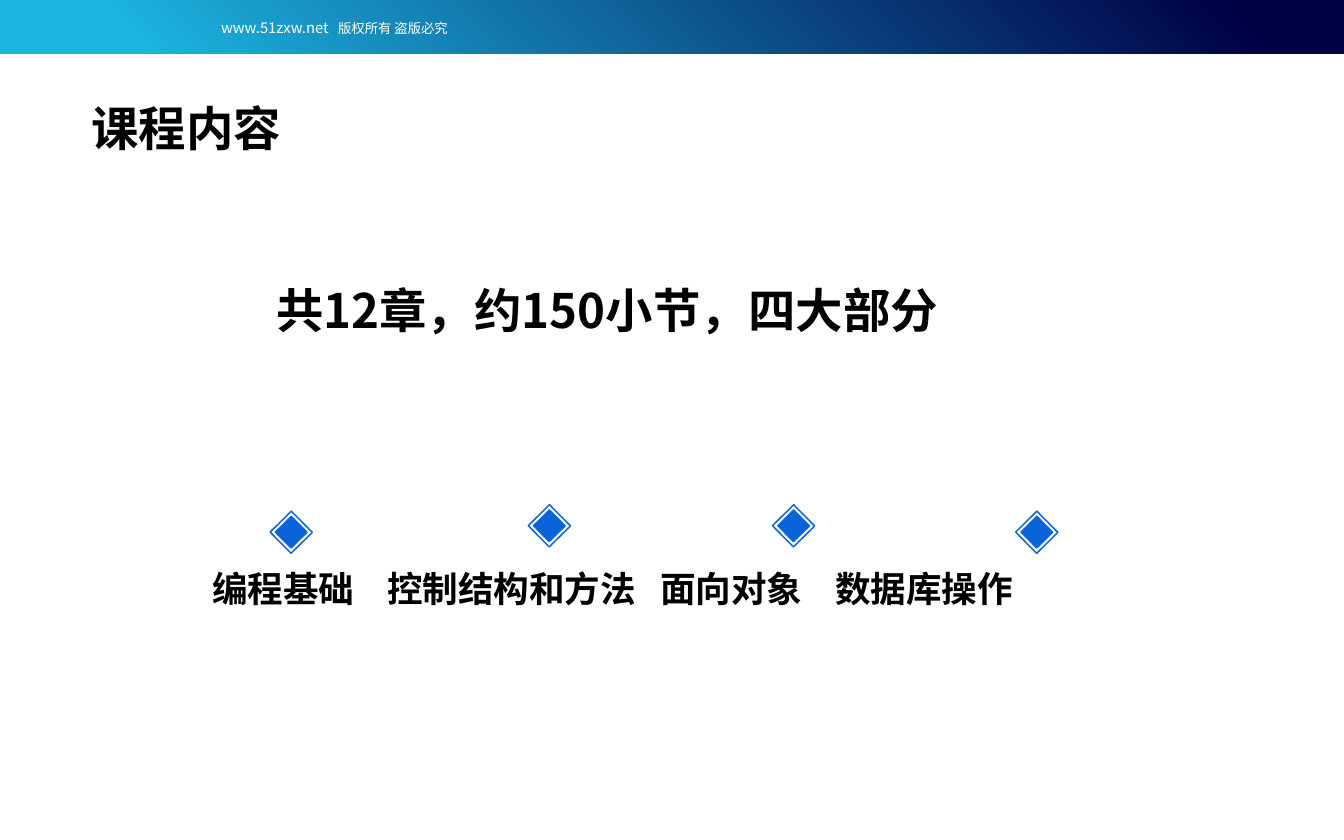
from dataclasses import dataclass

from lxml import etree
from pptx import Presentation
from pptx import util as u
from pptx.dml.color import RGBColor
from pptx.enum import shapes, text
from pptx.oxml.ns import qn

FONT = "Noto Sans CJK SC"
COLORS = {"navy": "000046", "cyan": "1CB5E0", "blue": "0B63DA",
          "white": "FFFFFF", "black": "000000"}
SLIDE_WIDTH = 12.6
SLIDE_HEIGHT = SLIDE_WIDTH * 10 / 16


@dataclass
class Marker:
    """Centre of a double diamond, in inches."""
    x: float
    y: float


@dataclass
class Box:
    left: float
    top: float
    width: float
    height: float
    wrap: bool = True


MARKERS = [Marker(2.73, 4.99), Marker(5.15, 4.93),
           Marker(7.44, 4.93), Marker(9.72, 4.99)]
PARTS = ["编程基础", "控制结构和方法", "面向对象", "数据库操作"]
PART_TABS = [1.64, 4.2, 5.84]


def rgb(name: str) -> RGBColor:
    return RGBColor.from_string(COLORS[name])


def add_text(slide, box: Box):
    tb = slide.shapes.add_textbox(*map(u.Inches, (box.left, box.top, box.width, box.height)))
    tb.text_frame.word_wrap = box.wrap
    return tb.text_frame


def format_run(r, size: float, color: str = "black", bold: bool = False) -> None:
    r.font.size = u.Pt(size)
    r.font.bold = bold
    r.font.color.rgb = rgb(color)
    r.font.name = FONT
    etree.SubElement(r._r.get_or_add_rPr(), qn("a:ea"), typeface=FONT)


def set_tabs(p, stops: list[float]) -> None:
    tabs = etree.SubElement(p._p.get_or_add_pPr(), qn("a:tabLst"))
    for stop in stops:
        etree.SubElement(tabs, qn("a:tab"), pos=str(u.Inches(stop)), algn="l")


def add_header(slide) -> None:
    bar = slide.shapes.add_shape(shapes.MSO_SHAPE.RECTANGLE, u.Inches(5.95),
                                 u.Inches(-6.19), u.Inches(0.7), u.Inches(12.69))
    bar.rotation = 90
    bar.shadow.inherit = False
    bar.line.fill.background()
    bar.fill.gradient()
    bar.fill.gradient_angle = 315
    for stop, (position, color) in zip(bar.fill.gradient_stops, [(0.1, "navy"), (0.9, "cyan")]):
        stop.position = position
        stop.color.rgb = rgb(color)

    p = add_text(slide, Box(0.56, 0.08, 5.15, 0.32)).paragraphs[0]
    p.alignment = text.PP_ALIGN.CENTER
    p.line_spacing = 1.3
    for words, size, spacing in [("www.51zxw.net", 10, 0), (" ", 9, 4.4),
                                 ("版权所有 盗版必究", 9, 0)]:
        r = p.add_run()
        r.text = words
        format_run(r, size, "white")
        if spacing:
            r._r.get_or_add_rPr().set("spc", str(round(spacing * 100)))


def add_title(slide) -> None:
    p = add_text(slide, Box(0.76, 0.88, 1.99, 0.64, wrap=False)).paragraphs[0]
    p.text = "课程内容"
    format_run(p.runs[0], 32, bold=True)


def add_body(slide) -> None:
    tf = add_text(slide, Box(1.89, 2.59, 9.67, 4.68))
    summary, parts = tf.paragraphs[0], tf.add_paragraph()
    summary.text = "共12章，约150小节，四大部分"
    summary._p.get_or_add_pPr().set("indent", str(u.Inches(0.6)))
    parts.space_before = u.Pt(154)
    set_tabs(parts, PART_TABS)
    parts.text = "\t".join(PARTS)
    for p, size in [(summary, 32), (parts, 24)]:
        for r in p.runs:
            format_run(r, size, bold=True)


def add_marker(slide, marker: Marker) -> None:
    group = slide.shapes.add_group_shape()
    for side, filled in [(0.21, True), (0.28, False)]:
        s = group.shapes.add_shape(
            shapes.MSO_SHAPE.RECTANGLE, u.Inches(marker.x - side / 2),
            u.Inches(marker.y - side / 2), u.Inches(side), u.Inches(side))
        s.rotation = 45.3
        s.shadow.inherit = False
        s.line.color.rgb = rgb("blue")
        s.line.width = u.Pt(1)
        if filled:
            s.fill.solid()
            s.fill.fore_color.rgb = rgb("blue")
        else:
            s.fill.background()


def main() -> None:
    prs = Presentation()
    prs.slide_width = u.Inches(SLIDE_WIDTH)
    prs.slide_height = u.Inches(SLIDE_HEIGHT)
    slide = prs.slides.add_slide(prs.slide_layouts[6])
    add_header(slide)
    add_title(slide)
    add_body(slide)
    for marker in MARKERS:
        add_marker(slide, marker)
    prs.save("out.pptx")


if __name__ == "__main__":
    main()
